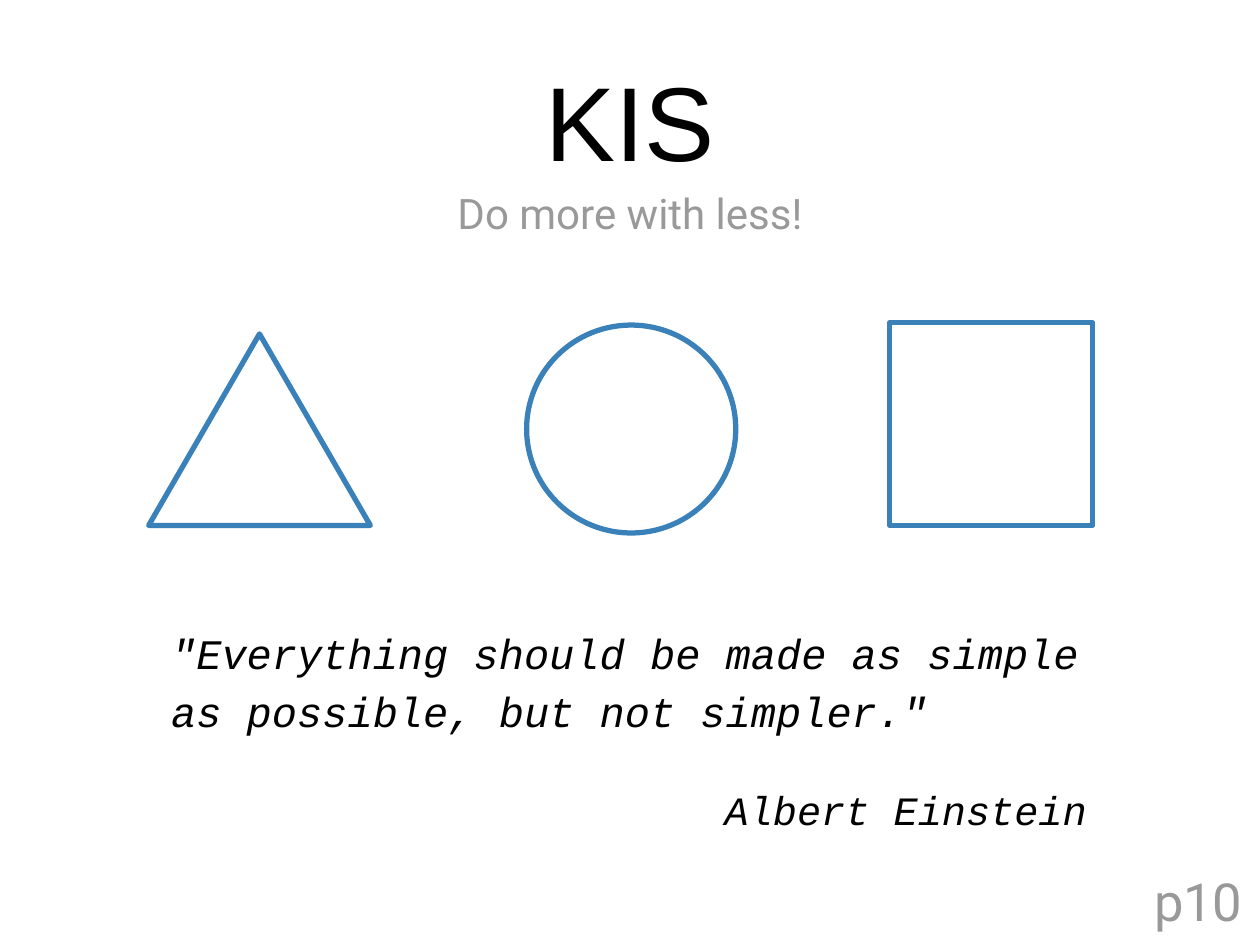
from lxml import etree
from pptx import Presentation
from pptx.dml.color import RGBColor
from pptx.enum.shapes import MSO_SHAPE
from pptx.enum.text import MSO_ANCHOR, PP_ALIGN
from pptx.oxml.ns import qn
from pptx.util import Inches, Pt

LEFT, CENTER, RIGHT = PP_ALIGN.LEFT, PP_ALIGN.CENTER, PP_ALIGN.RIGHT
MIDDLE, BOTTOM = MSO_ANCHOR.MIDDLE, MSO_ANCHOR.BOTTOM
TRIANGLE = MSO_SHAPE.ISOSCELES_TRIANGLE
CIRCLE, SQUARE = MSO_SHAPE.OVAL, MSO_SHAPE.RECTANGLE

BLACK, GREY, BLUE = "000000", "999999", "3A81BA"


def rgb(value):
    return RGBColor.from_string(value)


def add_box(s, x, y, w, h, anchor=MIDDLE):
    box = s.shapes.add_textbox(Inches(x), Inches(y), Inches(w), Inches(h))
    tf = box.text_frame
    tf.word_wrap = True
    tf.vertical_anchor = anchor
    tf.margin_left = tf.margin_right = Inches(0.1)
    tf.margin_top = tf.margin_bottom = Inches(0.1)
    return tf


def write(p, text, font, size, color, align=CENTER, spacing=1.0, italic=False):
    p.alignment = align
    p.line_spacing = spacing
    r = p.add_run()
    r.text = text
    r.font.name = font
    r.font.size = Pt(size)
    r.font.italic = italic
    r.font.color.rgb = rgb(color)


def add_outline(s, kind, x, y, w, h):
    sp = s.shapes.add_shape(kind, Inches(x), Inches(y), Inches(w), Inches(h))
    sp.shadow.inherit = False
    sp.fill.background()
    sp.line.color.rgb = rgb(BLUE)
    sp.line.width = Pt(3)
    etree.SubElement(sp.line._get_or_add_ln(), qn("a:round"))


def add_quote(s, quote, author):
    tf = add_box(s, 1.26, 4.97, 7.47, 1.6)
    write(tf.paragraphs[0], quote, "Courier New", 24, BLACK, LEFT, 1.15, True)
    p = tf.add_paragraph()
    p.space_before = Pt(24)
    write(p, author, "Courier New", 23, BLACK, RIGHT, 1.15, True)


def main():
    prs = Presentation()
    prs.slide_width, prs.slide_height = Inches(10), Inches(7.5)
    s = prs.slides.add_slide(prs.slide_layouts[6])

    title = add_box(s, 0, 0.32, 10, 1.26)
    write(title.paragraphs[0], "KIS", "Arial", 60, BLACK)
    subtitle = add_box(s, 0, 1.3, 10, 0.71)
    write(subtitle.paragraphs[0], "Do more with less!", "Roboto", 24, GREY, spacing=1.15)

    add_outline(s, TRIANGLE, 1.18, 2.65, 1.76, 1.52)
    add_outline(s, CIRCLE, 4.18, 2.58, 1.66, 1.65)
    add_outline(s, SQUARE, 7.06, 2.56, 1.61, 1.61)

    add_quote(
        s,
        '"Everything should be made as simple as possible, but not simpler."',
        "Albert Einstein",
    )
    page = add_box(s, 9.02, 6.51, 0.98, 0.99, BOTTOM)
    write(page.paragraphs[0], "p10", "Roboto", 30, GREY)

    prs.save("out.pptx")


if __name__ == "__main__":
    main()
